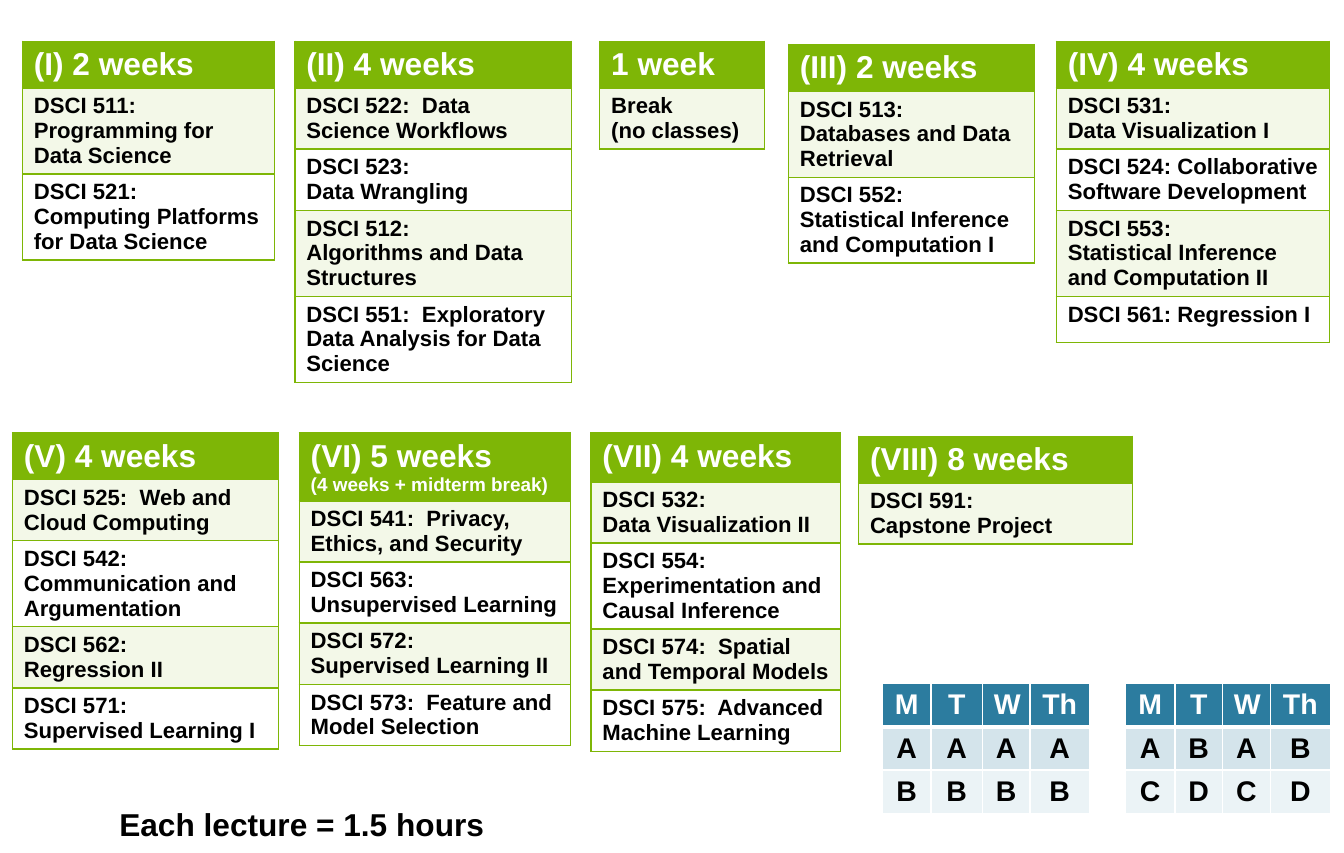
from lxml import etree
from pptx import Presentation
from pptx.dml.color import RGBColor
from pptx.enum.text import PP_ALIGN as Align
from pptx.oxml.ns import qn
from pptx.util import Pt

GREEN, PALE_GREEN = "7EB606", "F3F8E8"
BLUE, LIGHT_BLUE, PALE_BLUE = "2C7C9F", "D4E4EB", "EBF3F6"
WHITE, BLACK = "FFFFFF", "000000"


def color(hex_code):
    return RGBColor.from_string(hex_code)


class Schedule:
    """Holds the text style and the current slide."""

    font = "Arial"
    row_height = 29.2

    def __init__(self, deck):
        self.slide = deck.slides.add_slide(deck.slide_layouts[6])

    def set_lines(self, frame, lines, sizes, hex_code, align=Align.LEFT):
        frame.text = "\n".join(lines)
        for para, size in zip(frame.paragraphs, sizes):
            para.alignment = align
            for span in para.runs:
                span.font.name = self.font
                span.font.size = Pt(size)
                span.font.bold = True
                span.font.color.rgb = color(hex_code)

    def text(self, x, y, width, height, words, size):
        box = self.slide.shapes.add_textbox(Pt(x), Pt(y), Pt(width), Pt(height))
        box.text_frame.word_wrap = True
        self.set_lines(box.text_frame, [words], [size], BLACK)

    def border(self, cell, hex_code, bottom=1):
        properties = cell._tc.get_or_add_tcPr()
        for side in ("lnL", "lnR", "lnT", "lnB"):
            points = bottom if side == "lnB" else 1
            line = etree.SubElement(properties, qn("a:" + side), w=str(Pt(points)))
            fill = etree.SubElement(line, qn("a:solidFill"))
            etree.SubElement(fill, qn("a:srgbClr"), val=hex_code)

    def table(self, x, y, widths, height, row_heights):
        frame = self.slide.shapes.add_table(
            len(row_heights), len(widths), Pt(x), Pt(y), Pt(sum(widths)), Pt(height))
        table = frame.table
        table.horz_banding = False
        for column, width in zip(table.columns, widths):
            column.width = Pt(width)
        for row, row_height in zip(table.rows, row_heights):
            row.height = Pt(row_height)
        frame.height = Pt(height)  # rows grow with their text
        return table

    def fill(self, cell, hex_code):
        cell.fill.solid()
        cell.fill.fore_color.rgb = color(hex_code)

    def block(self, x, y, width, height, heading, courses, head_height=row_height):
        """One teaching block: a heading row above its courses."""
        heights = [head_height] + [self.row_height] * len(courses)
        table = self.table(x, y, [width], height, heights)
        for index, words in enumerate([heading] + courses):
            cell = table.cell(index, 0)
            lines = words.split("\n")
            self.border(cell, GREEN)
            if index == 0:
                self.fill(cell, GREEN)
                self.set_lines(cell.text_frame, lines, [20, 12], WHITE)
            else:
                self.fill(cell, PALE_GREEN if index % 2 else WHITE)
                self.set_lines(cell.text_frame, lines, [14] * len(lines), BLACK)

    def week(self, x, y, widths, rows):
        """A small timetable with the days across."""
        table = self.table(x, y, widths, 86.4, [22.3] * len(rows))
        fills = (BLUE, LIGHT_BLUE, PALE_BLUE)
        for index, (entries, shade) in enumerate(zip(rows, fills)):
            for column, entry in enumerate(entries):
                cell = table.cell(index, column)
                self.border(cell, WHITE, bottom=1 if index else 3)
                self.fill(cell, shade)
                self.set_lines(cell.text_frame, [entry], [18],
                               BLACK if index else WHITE, Align.CENTER)


def main():
    deck = Presentation()
    deck.slide_width, deck.slide_height = Pt(850.4), Pt(540)
    schedule = Schedule(deck)

    # First term
    top = 26.2
    schedule.block(14.2, top, 159.4, 146, "(I) 2 weeks", [
        "DSCI 511:\nProgramming for Data Science",
        "DSCI 521:\nComputing Platforms for Data Science"])
    schedule.block(186.6, top, 175, 228, "(II) 4 weeks", [
        "DSCI 522:  Data Science Workflows",
        "DSCI 523:\nData Wrangling",
        "DSCI 512:\nAlgorithms and Data Structures",
        "DSCI 551:  Exploratory Data Analysis for Data Science"])
    schedule.block(379.5, top, 104.4, 72, "1 week", ["Break\n(no classes)"])
    schedule.block(498.9, 28.2, 155.5, 146, "(III) 2 weeks", [
        "DSCI 513:\nDatabases and Data Retrieval",
        "DSCI 552:\nStatistical Inference and Computation I"])
    schedule.block(668.4, top, 172.8, 199.4, "(IV) 4 weeks", [
        "DSCI 531:\nData Visualization I",
        "DSCI 524: Collaborative Software Development",
        "DSCI 553:\nStatistical Inference and Computation II",
        "DSCI 561: Regression I"])

    # Second term and capstone
    top = 274.1
    schedule.block(7.9, top, 168.5, 211, "(V) 4 weeks", [
        "DSCI 525:  Web and Cloud Computing",
        "DSCI 542:\nCommunication and Argumentation",
        "DSCI 562:\nRegression II",
        "DSCI 571:\nSupervised Learning I"])
    schedule.block(189.4, top, 171.4, 208.8, "(VI) 5 weeks\n(4 weeks + midterm break)", [
        "DSCI 541:  Privacy, Ethics, and Security",
        "DSCI 563:\nUnsupervised Learning",
        "DSCI 572:\nSupervised Learning II",
        "DSCI 573:  Feature and Model Selection"])
    schedule.block(374, top, 157.7, 228, "(VII) 4 weeks", [
        "DSCI 532:\nData Visualization II",
        "DSCI 554:\nExperimentation and Causal Inference",
        "DSCI 574:  Spatial and Temporal Models",
        "DSCI 575:  Advanced Machine Learning"], head_height=31)
    schedule.block(543.3, 276.2, 173.5, 72, "(VIII) 8 weeks", [
        "DSCI 591:\nCapstone Project"])

    # Weekly timetables
    days = ["M", "T", "W", "Th"]
    schedule.week(558.2, 432.7, [31, 32.4, 30.2, 37.4], [days, "AAAA", "BBBB"])
    schedule.week(712.1, 432.7, [31.3, 30.2, 30.2, 38], [days, "ABAB", "CDCD"])

    # Lecture length
    schedule.text(68.4, 506.2, 250.6, 31.7, "Each lecture = 1.5 hours", 20)

    deck.save("out.pptx")


if __name__ == "__main__":
    main()
